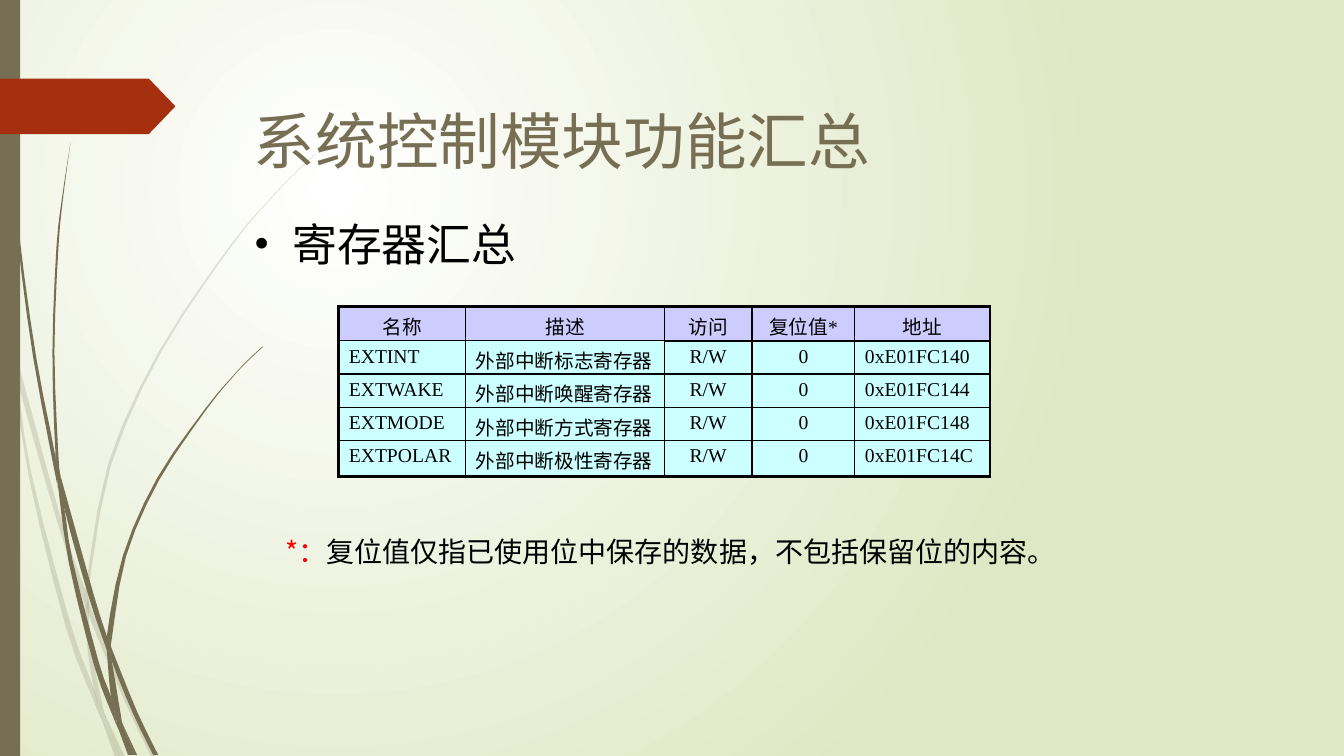
from lxml.etree import SubElement
from pptx import Presentation
from pptx.dml.color import RGBColor
from pptx.enum.shapes import MSO_SHAPE as Shape
from pptx.enum.text import MSO_ANCHOR as Anchor, PP_ALIGN as Align
from pptx.oxml.ns import qn
from pptx.util import Inches, Pt

COLORS = {
    "glow": "FFFFFF", "edge": "DFE8C4", "olive": "766F54", "rust": "A53010",
    "black": "000000", "red": "FF0000", "header": "CCCCFF", "body": "CCFFFF",
}
SERIF, SANS = "Times New Roman", "Noto Sans CJK JP"
TITLE = ("系统控制模块功能汇总", (2.42, 0.76, 8.5, 1.25))
BULLET = ("寄存器汇总", (2.42, 2.1, 3.46, 0.63))
NOTE = (
    (("*：", "red"), ("复位值仅指已使用位中保存的数据，不包括保留位的内容。", "black")),
    (2.73, 5.25, 7.8, 0.43),
)
HEADINGS = ("名称", "描述", "访问", "复位值*", "地址")
REGISTERS = (
    ("EXTINT", "外部中断标志寄存器", "0xE01FC140"),
    ("EXTWAKE", "外部中断唤醒寄存器", "0xE01FC144"),
    ("EXTMODE", "外部中断方式寄存器", "0xE01FC148"),
    ("EXTPOLAR", "外部中断极性寄存器", "0xE01FC14C"),
)
ACCESS, RESET = "R/W", "0"
COLUMN_WIDTHS = (1.26, 1.97, 0.87, 1.02, 1.34)
ROW_HEIGHTS = (0.34, 0.33, 0.33, 0.33, 0.36)
TABLE_AT = (3.36, 3.04)
CENTERED_COLUMNS = (2, 3)

FAINT_BLADES = (
    (((0, 2.82), (0.09, 3.22), (0.11, 3.5)), ((0, 2.99), (0.1, 3.44), (0.11, 3.5))),
    (((0.14, 3.45), (0.17, 3.76), (0.58, 5.22), (0.84, 5.99)),
     ((0.14, 3.45), (0.62, 5.2), (0.85, 5.86))),
    (((0.88, 5.96), (0.88, 6.1), (1.23, 6.94), (1.5, 7.51)),
     ((0.88, 5.96), (0.92, 6.07), (1.27, 6.92), (1.55, 7.51))),
    (((1.05, 7.11), (1.19, 7.51)), ((1.05, 7.11), (1.24, 7.51))),
    (((0.11, 3.5), (0.28, 4.7), (0.65, 6.21), (0.92, 6.93), (1.01, 7.14)),
     ((0.11, 3.5), (0.17, 3.76), (0.31, 4.69), (0.7, 6.19), (0.93, 6.83), (0.99, 7.07), (1.01, 7.14))),
    (((0.84, 5.99), (0.87, 6.46), (0.93, 6.83), (0.96, 6.92), (1.05, 7.11)),
     ((0.84, 5.99), (0.88, 6.08), (0.88, 6.1), (0.91, 6.46), (1.03, 7.06), (1.05, 7.11))),
    (((3.12, 1.53), (2.89, 1.75), (2.68, 1.97), (2.28, 2.44), (1.58, 3.48), (1.07, 4.61),
      (0.85, 5.84), (0.85, 5.86), (0.88, 5.96)),
     ((3.12, 1.54), (2.9, 1.75), (2.68, 1.98), (2.29, 2.45), (1.6, 3.49), (1.1, 4.62),
      (0.88, 5.84), (0.88, 5.96))),
    (((1.01, 7.14), (1.14, 7.51)), ((1.01, 7.14), (1.19, 7.51))),
    (((0.85, 5.86), (0.84, 5.99), (0.88, 6.08)), ((0.85, 5.86), (0.88, 5.96), (0.88, 6.1))),
    (((0.93, 6.83), (0.99, 7.07), (1.01, 7.14), (1.19, 7.51)),
     ((0.93, 6.83), (0.96, 6.92), (1.05, 7.11), (1.19, 7.51))),
)
DARK_BLADES = (
    (((0.03, 0), (0.04, 0.48), (0.07, 1.1), (0.17, 2.33), (0.33, 3.55), (0.56, 4.77), (0.57, 4.81)),
     ((0.04, 0), (0.05, 0.48), (0.08, 1.09), (0.19, 2.32), (0.36, 3.55), (0.55, 4.53), (0.57, 4.81))),
    (((0.6, 4.72), (0.64, 5.05), (0.88, 5.92), (1.06, 6.45)),
     ((0.6, 4.72), (0.93, 5.9), (1.06, 6.31))),
    (((1.1, 6.41), (1.11, 6.56), (1.32, 7.08), (1.52, 7.49)),
     ((1.1, 6.41), (1.13, 6.49), (1.36, 7.06), (1.57, 7.49))),
    (((0.57, 4.77), (0.68, 5.57), (0.93, 6.59), (1.11, 7.08), (1.17, 7.22)),
     ((0.57, 4.77), (0.64, 5.05), (0.72, 5.56), (0.98, 6.57), (1.1, 6.91), (1.16, 7.17), (1.17, 7.22))),
    (((0.7, 1.41), (0.62, 1.93), (0.56, 2.45), (0.52, 3.49), (0.55, 4.49), (0.6, 4.72)),
     ((0.7, 1.41), (0.63, 1.93), (0.58, 2.45), (0.54, 3.49), (0.58, 4.53), (0.6, 4.72))),
    (((1.22, 7.19), (1.33, 7.49)), ((1.22, 7.19), (1.36, 7.49))),
    (((0.55, 4.49), (0.55, 4.53), (0.57, 4.77), (0.64, 5.05)), ((0.55, 4.49), (0.6, 4.72), (0.64, 5.05))),
    (((2.6, 3.44), (2.45, 3.58), (2.31, 3.73), (2.04, 4.05), (1.56, 4.74), (1.22, 5.51),
      (1.06, 6.31), (1.1, 6.41)),
     ((2.61, 3.44), (2.45, 3.59), (2.31, 3.74), (2.05, 4.06), (1.58, 4.76), (1.25, 5.52),
      (1.11, 6.33), (1.1, 6.41))),
    (((1.17, 7.22), (1.27, 7.49)), ((1.17, 7.22), (1.31, 7.49))),
    (((1.06, 6.45), (1.1, 6.91), (1.16, 7.06), (1.22, 7.19)),
     ((1.06, 6.45), (1.09, 6.51), (1.11, 6.56), (1.21, 7.16), (1.22, 7.19))),
    (((1.06, 6.31), (1.06, 6.45), (1.09, 6.51)), ((1.06, 6.31), (1.1, 6.41), (1.11, 6.56))),
    (((1.1, 6.91), (1.16, 7.17), (1.17, 7.22), (1.3, 7.49)),
     ((1.1, 6.91), (1.16, 7.06), (1.22, 7.19), (1.33, 7.49))),
)


def color(name):
    return RGBColor.from_string(COLORS[name])


def paint(shape, name, alpha=None):
    shape.shadow.inherit = False
    shape.fill.solid()
    shape.fill.fore_color.rgb = color(name)
    shape.line.fill.background()
    if alpha:
        tint = shape.fill._xPr.find(qn("a:solidFill"))[0]
        SubElement(tint, qn("a:alpha"), val=str(alpha * 1000))


def set_font(font, size, name, tint):
    font.size, font.name, font.color.rgb = Pt(size), name, color(tint)


def smooth(points, steps=3):
    ends = [points[0], *points, points[-1]]
    curve = [points[0]]
    for a, b, c, d in zip(ends, ends[1:], ends[2:], ends[3:]):
        for step in range(1, steps + 1):
            t = step / steps
            curve.append(tuple(
                q + t / 2 * (r - p + t * (2 * p - 5 * q + 4 * r - s + t * (3 * q - p - 3 * r + s)))
                for p, q, r, s in zip(a, b, c, d)))
    return curve


def add_blade(page, edges, alpha=None):
    outline = smooth(edges[0]) + smooth(edges[1])[::-1]
    start, *rest = [tuple(map(Inches, point)) for point in outline]
    builder = page.shapes.build_freeform(*start)
    builder.add_line_segments(rest, close=True)
    paint(builder.convert_to_shape(), "olive", alpha)


def add_text(page, place):
    box = page.shapes.add_textbox(*map(Inches, place))
    box.text_frame.word_wrap = True
    return box.text_frame, box.text_frame.paragraphs[0]


def set_background(page):
    fill = page.background.fill
    fill.gradient()
    for stop, name, position in zip(fill.gradient_stops, ("glow", "edge"), (0, 1)):
        stop.color.rgb, stop.position = color(name), position
    gradient = fill._xPr.find(qn("a:gradFill"))
    circle = SubElement(gradient, qn("a:path"), path="circle")
    SubElement(circle, qn("a:fillToRect"), l="50000", t="50000", r="100000", b="100000")
    gradient.replace(gradient.find(qn("a:lin")), circle)


def set_borders(cell, widths):
    properties = cell._tc.get_or_add_tcPr()
    for side, width in zip("LRTB", widths):
        line = SubElement(properties, qn(f"a:ln{side}"), w=str(Pt(width)))
        SubElement(SubElement(line, qn("a:solidFill")), qn("a:srgbClr"), val=COLORS["black"])


def add_registers(page):
    rows = [HEADINGS] + [(name, use, ACCESS, RESET, address) for name, use, address in REGISTERS]
    size = (sum(COLUMN_WIDTHS), sum(ROW_HEIGHTS))
    table = page.shapes.add_table(len(rows), len(HEADINGS), *map(Inches, TABLE_AT + size)).table
    for column, width in zip(table.columns, COLUMN_WIDTHS):
        column.width = Inches(width)
    last_row, last_column = len(rows) - 1, len(HEADINGS) - 1
    for i, (row, height) in enumerate(zip(rows, ROW_HEIGHTS)):
        table.rows[i].height = Inches(height)
        for j, words in enumerate(row):
            cell = table.cell(i, j)
            rule = 1.5 if j >= 2 else 1
            set_borders(cell, (
                2.25 if j == 0 else 1,
                2.25 if j == last_column else 1,
                2.25 if i == 0 else rule if i == 1 else 1,
                2.25 if i == last_row else rule if i == 0 else 1))
            cell.fill.solid()
            cell.fill.fore_color.rgb = color("body" if i else "header")
            cell.margin_bottom = 0
            cell.text = words
            para = cell.text_frame.paragraphs[0]
            para.alignment = Align.CENTER if i == 0 or j in CENTERED_COLUMNS else Align.LEFT
            set_font(para.font, 14, SERIF, "black")


def main():
    """Build the register summary slide."""
    deck = Presentation()
    deck.slide_width, deck.slide_height = Inches(13.33), Inches(7.5)
    page = deck.slides.add_slide(deck.slide_layouts[6])
    set_background(page)
    for blades, alpha in ((FAINT_BLADES, 20), (DARK_BLADES, None)):
        for edges in blades:
            add_blade(page, edges, alpha)
    paint(page.shapes.add_shape(Shape.RECTANGLE, 0, 0, Inches(0.2), Inches(7.5)), "olive")
    arrow = page.shapes.add_shape(Shape.PENTAGON, 0, Inches(0.78), Inches(1.74), Inches(0.55))
    arrow.adjustments[0] = 0.48
    paint(arrow, "rust")
    frame, para = add_text(page, TITLE[1])
    frame.vertical_anchor = Anchor.MIDDLE
    para.text = TITLE[0]
    set_font(para.font, 44, SERIF, "olive")
    add_registers(page)
    frame, para = add_text(page, NOTE[1])
    for words, tint in NOTE[0]:
        span = para.add_run()
        span.text = words
        set_font(span.font, 20, SANS, tint)
    frame, para = add_text(page, BULLET[1])
    para.text = BULLET[0]
    properties = para._p.get_or_add_pPr()
    properties.set("marL", str(Inches(0.38)))
    properties.set("indent", str(-Inches(0.38)))
    SubElement(properties, qn("a:buFont"), typeface=SERIF)
    SubElement(properties, qn("a:buChar"), char="•")
    set_font(para.font, 32, SERIF, "black")
    deck.save("out.pptx")


if __name__ == "__main__":
    main()
